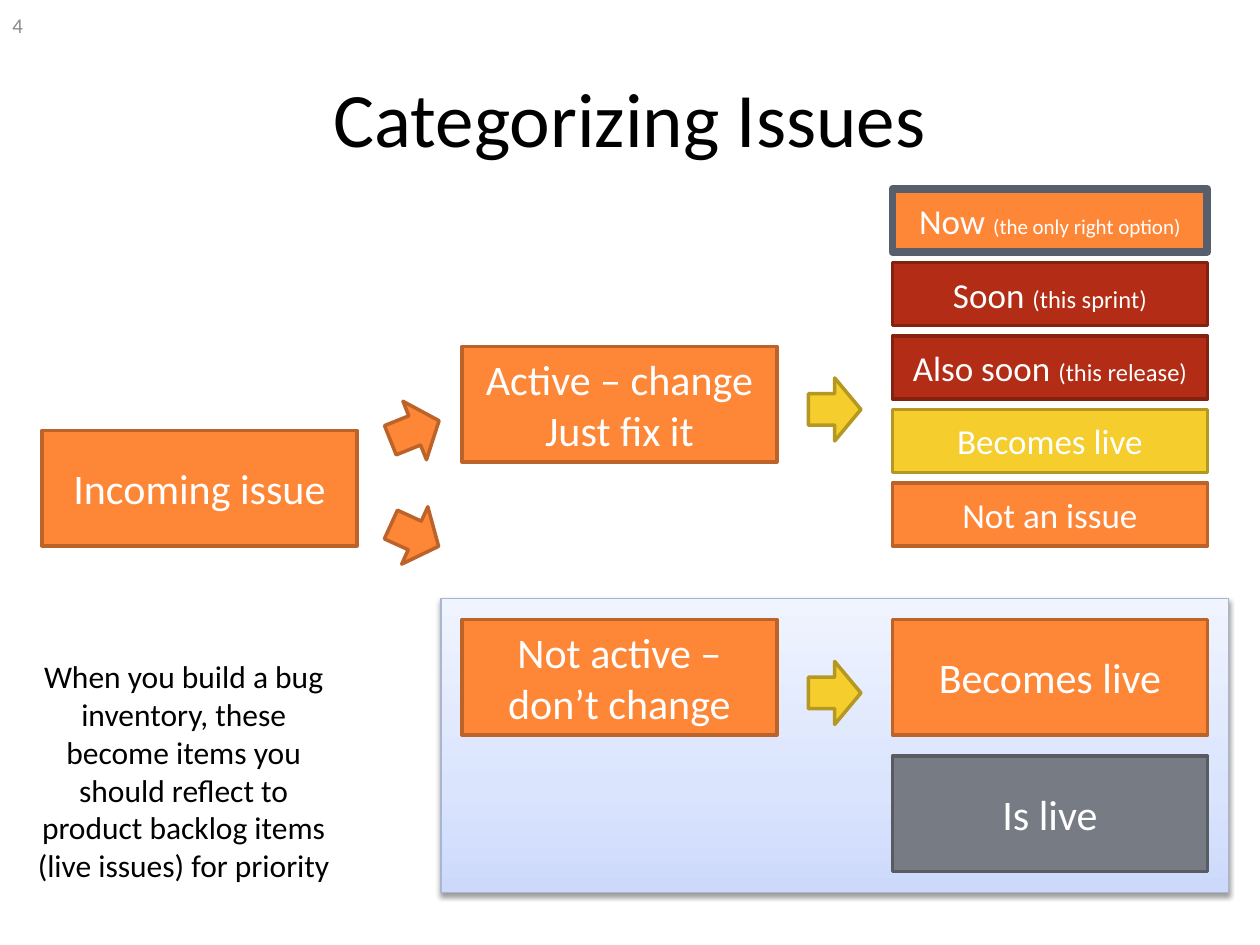
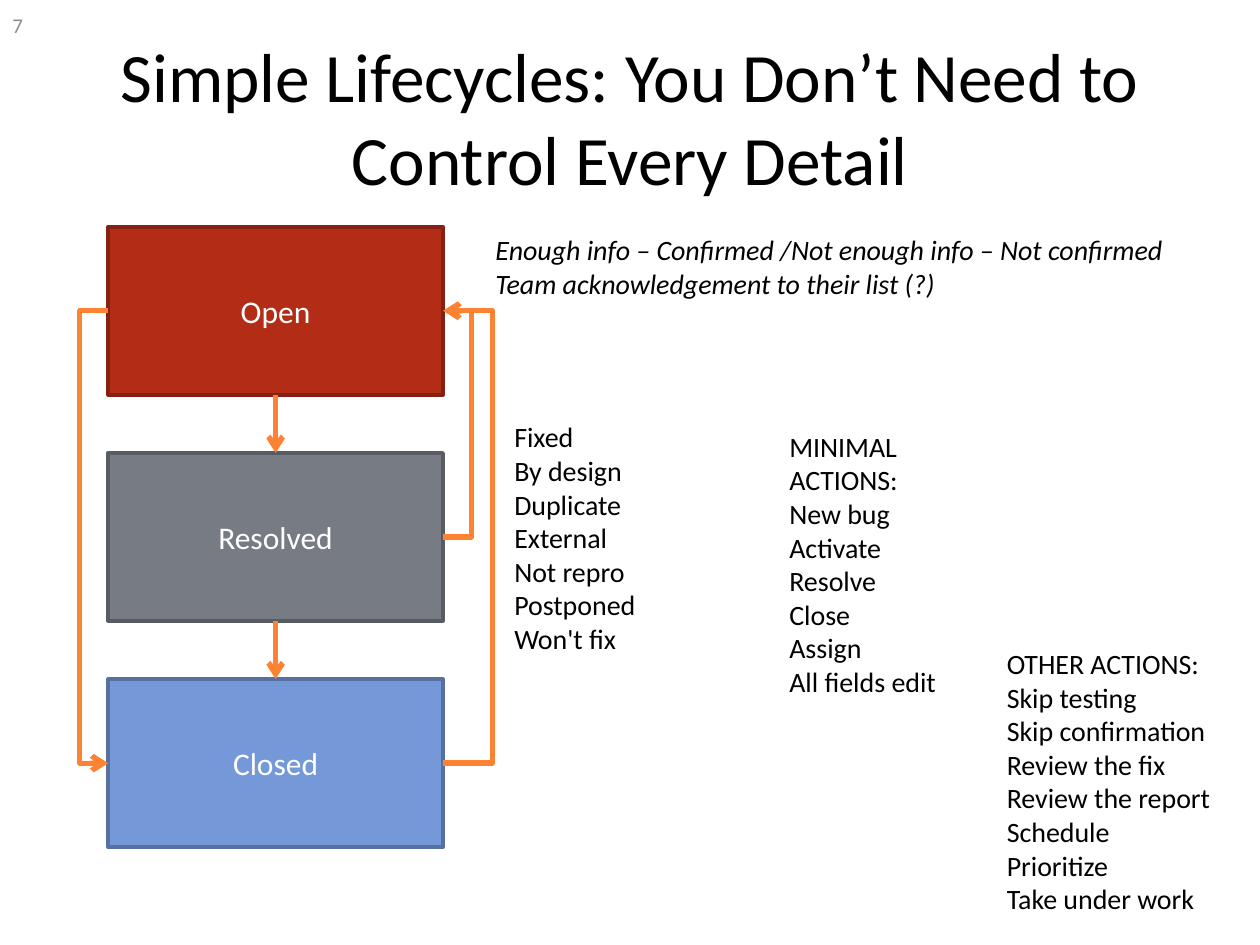
from lxml.etree import SubElement
from pptx import Presentation
from pptx.dml.color import RGBColor
from pptx.enum.shapes import MSO_CONNECTOR, MSO_SHAPE
from pptx.enum.text import MSO_ANCHOR, PP_ALIGN
from pptx.oxml.ns import qn
from pptx.util import Emu, Inches, Pt

COLORS = {
    "ink": "000000", "white": "FFFFFF", "muted": "8C8C8C",
    "orange": "FE8637", "orange_edge": "BC6329", "flow": "FD8231",
    "red": "B32C16", "red_edge": "842110",
    "gray": "777C84", "gray_edge": "585C62",
    "yellow": "F5CD2D", "yellow_edge": "B59821",
    "blue": "7598D9", "blue_edge": "5770A1",
    "slate": "575F6D", "panel_edge": "A9B6D1",
    "panel_low": "CCD9FB", "panel_mid": "DAE4FC", "panel_high": "F0F4FF",
}
FONT = "Calibri"
GRID = Inches(1) / 12
LEFT, RIGHT = 1, 3
TOP, BOTTOM = 0, 2
SLIVER = 1588


def units(count):
    return Emu(round(count * GRID))


def rgb(name):
    return RGBColor.from_string(COLORS[name])


def add_child(parent, tag, **attributes):
    return SubElement(parent, qn(tag), **{k: str(v) for k, v in attributes.items()})


def write_text(shape, *lines, size=18, color="ink", italic=False,
               align=PP_ALIGN.LEFT, anchor=MSO_ANCHOR.TOP):
    frame = shape.text_frame
    frame.word_wrap = True
    frame.vertical_anchor = anchor
    for index, line in enumerate(lines):
        paragraph = frame.paragraphs[0] if index == 0 else frame.add_paragraph()
        paragraph.alignment = align
        pieces = [(line, size)] if isinstance(line, str) else line
        for words, points in pieces:
            run = paragraph.add_run()
            run.text = words
            run.font.name = FONT
            run.font.size = Pt(points)
            run.font.italic = italic
            run.font.color.rgb = rgb(color)


class Deck:
    def __init__(self):
        self.presentation = Presentation()
        self.presentation.slide_width = units(120)
        self.presentation.slide_height = units(90)
        self.slide = None

    def start_slide(self, number, title, size=44):
        self.slide = self.presentation.slides.add_slide(self.presentation.slide_layouts[6])
        self.note((6, 3.6, 108, 15), title, size=size,
                  align=PP_ALIGN.CENTER, anchor=MSO_ANCHOR.MIDDLE)
        self.note((0, 0, 28, 4.8), number, size=12, color="muted",
                  anchor=MSO_ANCHOR.MIDDLE)

    def note(self, place, *lines, **style):
        write_text(self.slide.shapes.add_textbox(*map(units, place)), *lines, **style)

    def shape(self, kind, place, fill, edge=None, weight=2):
        shape = self.slide.shapes.add_shape(kind, *map(units, place))
        shape.shadow.inherit = False
        shape.fill.solid()
        shape.fill.fore_color.rgb = rgb(fill)
        shape.line.color.rgb = rgb(edge or f"{fill}_edge")
        shape.line.width = Pt(weight)
        return shape

    def box(self, place, *lines, fill="orange", edge=None, weight=2, size=24):
        box = self.shape(MSO_SHAPE.RECTANGLE, place, fill, edge, weight)
        write_text(box, *lines, size=size, color="white",
                   align=PP_ALIGN.CENTER, anchor=MSO_ANCHOR.MIDDLE)
        return box

    def block_arrow(self, column, row, fill, turn=0):
        arrow = self.shape(MSO_SHAPE.RIGHT_ARROW, (column, row, 5, 6), fill)
        arrow.rotation = turn

    def panel(self, place):
        panel = self.shape(MSO_SHAPE.RECTANGLE, place, "panel_mid", "panel_edge", 0.75)
        panel.fill.gradient()
        panel.fill.gradient_angle = 90
        properties = panel._element.spPr
        stops = properties.find(".//" + qn("a:gsLst"))
        for stop in list(stops):
            stops.remove(stop)
        for share, tone in ((0, "low"), (35, "mid"), (100, "high")):
            stop = add_child(stops, "a:gs", pos=share * 1000)
            add_child(stop, "a:srgbClr", val=COLORS[f"panel_{tone}"])
        shadow = add_child(properties.find(qn("a:effectLst")), "a:outerShdw",
                           blurRad=Pt(3.1), dist=Pt(1.6), dir=5400000, rotWithShape=0)
        shade = add_child(shadow, "a:srgbClr", val=COLORS["ink"])
        add_child(shade, "a:alpha", val=38000)

    def flow(self, source, target, exit_site, entry_site, kind=MSO_CONNECTOR.STRAIGHT):
        flow = self.slide.shapes.add_connector(kind, 0, 0, 0, 0)
        flow.begin_connect(source, exit_site)
        flow.end_connect(target, entry_site)
        flow.line.color.rgb = rgb("flow")
        flow.line.width = Pt(3)
        add_child(flow.line._get_or_add_ln(), "a:tailEnd", type="arrow")
        add_child(flow._element.spPr, "a:effectLst")
        return flow

    def loop(self, source, target, side, reach):
        loop = self.flow(source, target, side, side, MSO_CONNECTOR.ELBOW)
        loop.end_x = Emu(loop.begin_x + SLIVER)
        properties = loop._element.spPr
        if side == LEFT:
            frame = properties.find(qn("a:xfrm"))
            frame.set("rot", "10800000")
            frame.set("flipV", "1")
        bends = properties.find(".//" + qn("a:avLst"))
        bend = round(units(reach) / SLIVER * 100000)
        add_child(bends, "a:gd", name="adj1", fmla=f"val {bend}")


def categorizing_issues(deck):
    deck.start_slide("4", "Categorizing Issues")
    deck.panel((42, 57, 75, 28))
    incoming, decision, outcome = 4, 44, 85
    for column, row, fill, lines in (
        (incoming, 41, "orange", ["Incoming issue"]),
        (decision, 33, "orange", ["Active – change", "Just fix it"]),
        (decision, 59, "orange", ["Not active – don’t change"]),
        (outcome, 59, "orange", ["Becomes live"]),
        (outcome, 72, "gray", ["Is live"]),
    ):
        deck.box((column, row, 30, 11), *lines, fill=fill)

    options = (
        ([("Now ", 20), ("(the only right option)", 12)], "orange", "slate", 4.5),
        ([("Soon ", 20), ("(this sprint)", 14)], "red", None, 2),
        ([("Also soon ", 20), ("(this release)", 14)], "red", None, 2),
        ("Becomes live", "yellow", None, 2),
        ("Not an issue", "orange", None, 2),
    )
    for index, (label, fill, edge, weight) in enumerate(options):
        deck.box((outcome, 18 + 7 * index, 30, 6), label,
                 fill=fill, edge=edge, weight=weight, size=20)

    for column, row, fill, turn in (
        (37, 38, "orange", 338.1), (37, 48, "orange", 24.5),
        (77, 36, "yellow", 0), (77, 63, "yellow", 0),
    ):
        deck.block_arrow(column, row, fill, turn)
    deck.note((2, 62, 31, 23),
              "When you build a bug inventory, these become items you should "
              "reflect to product backlog items (live issues) for priority",
              align=PP_ALIGN.CENTER)


def simple_lifecycles(deck):
    deck.start_slide("7", "Simple Lifecycles: You Don’t Need to Control Every Detail", 39.6)
    states = (("Open", "red"), ("Resolved", "gray"), ("Closed", "blue"))
    opened, resolved, closed = [
        deck.box((10.3, 21.6 + 21.54 * index, 31.9, 16), name, fill=fill, size=18)
        for index, (name, fill) in enumerate(states)
    ]
    deck.flow(opened, resolved, BOTTOM, TOP)
    deck.flow(resolved, closed, BOTTOM, TOP)
    deck.loop(closed, opened, RIGHT, 5.16)
    deck.loop(resolved, opened, RIGHT, 3)
    deck.loop(opened, closed, LEFT, 3)

    deck.note((46, 21.6, 74, 7.7),
              "Enough info – Confirmed /Not enough info – Not confirmed",
              "Team acknowledgement to their list (?)", size=16, italic=True)
    for place, lines in (
        ((47.8, 39.4, 21.6, 23.9),
         ("Fixed", "By design", "Duplicate", "External", "Not repro",
          "Postponed", "Won't fix")),
        ((74, 40.3, 17, 27.1),
         ("MINIMAL ACTIONS:", "New bug", "Activate", "Resolve", "Close",
          "Assign", "All fields edit")),
        ((94.7, 61, 23.4, 27.1),
         ("OTHER ACTIONS:", "Skip testing", "Skip confirmation", "Review the fix",
          "Review the report", "Schedule", "Prioritize", "Take under work")),
    ):
        deck.note(place, *lines, size=16)


def main():
    deck = Deck()
    categorizing_issues(deck)
    simple_lifecycles(deck)
    deck.presentation.save("out.pptx")


if __name__ == "__main__":
    main()
